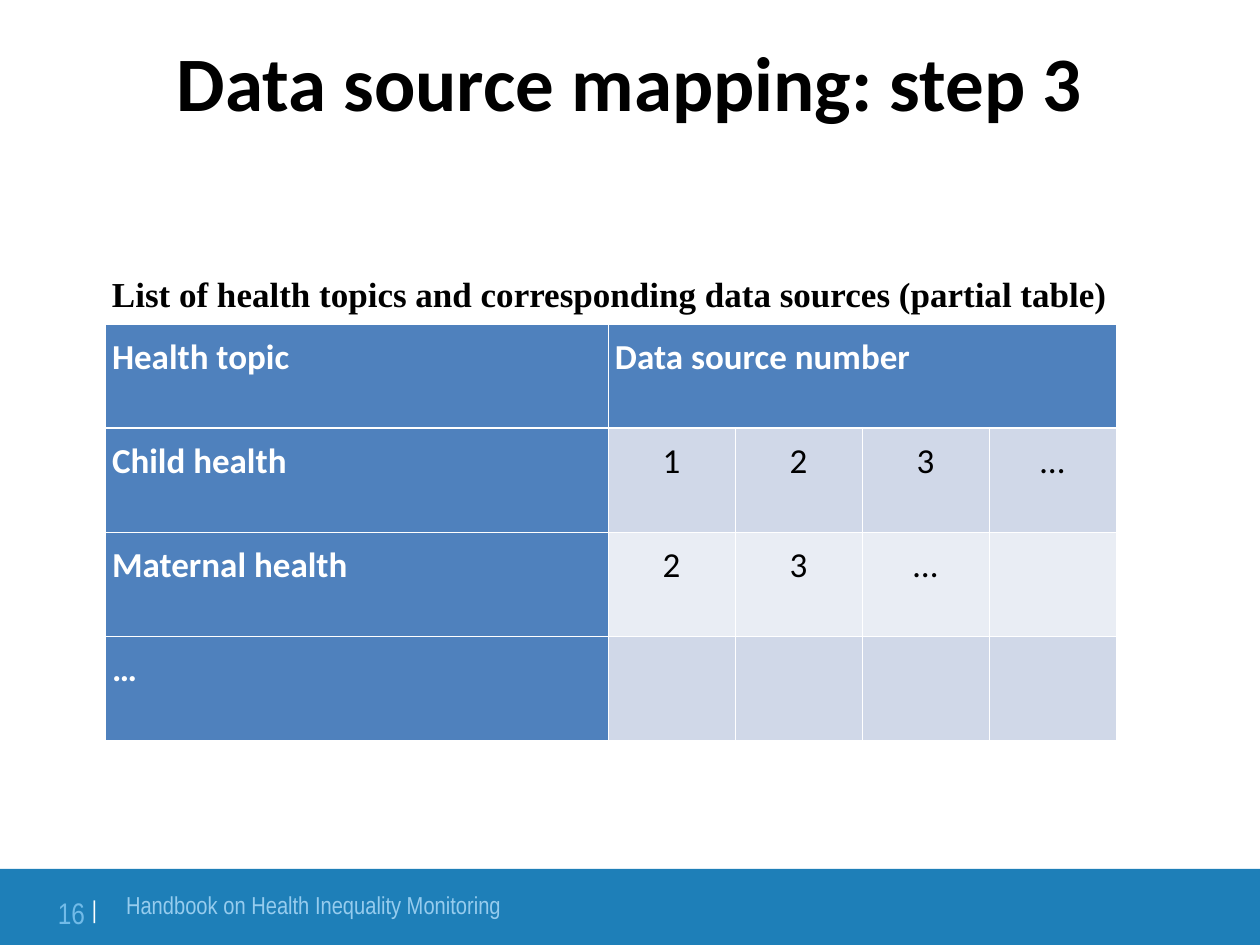
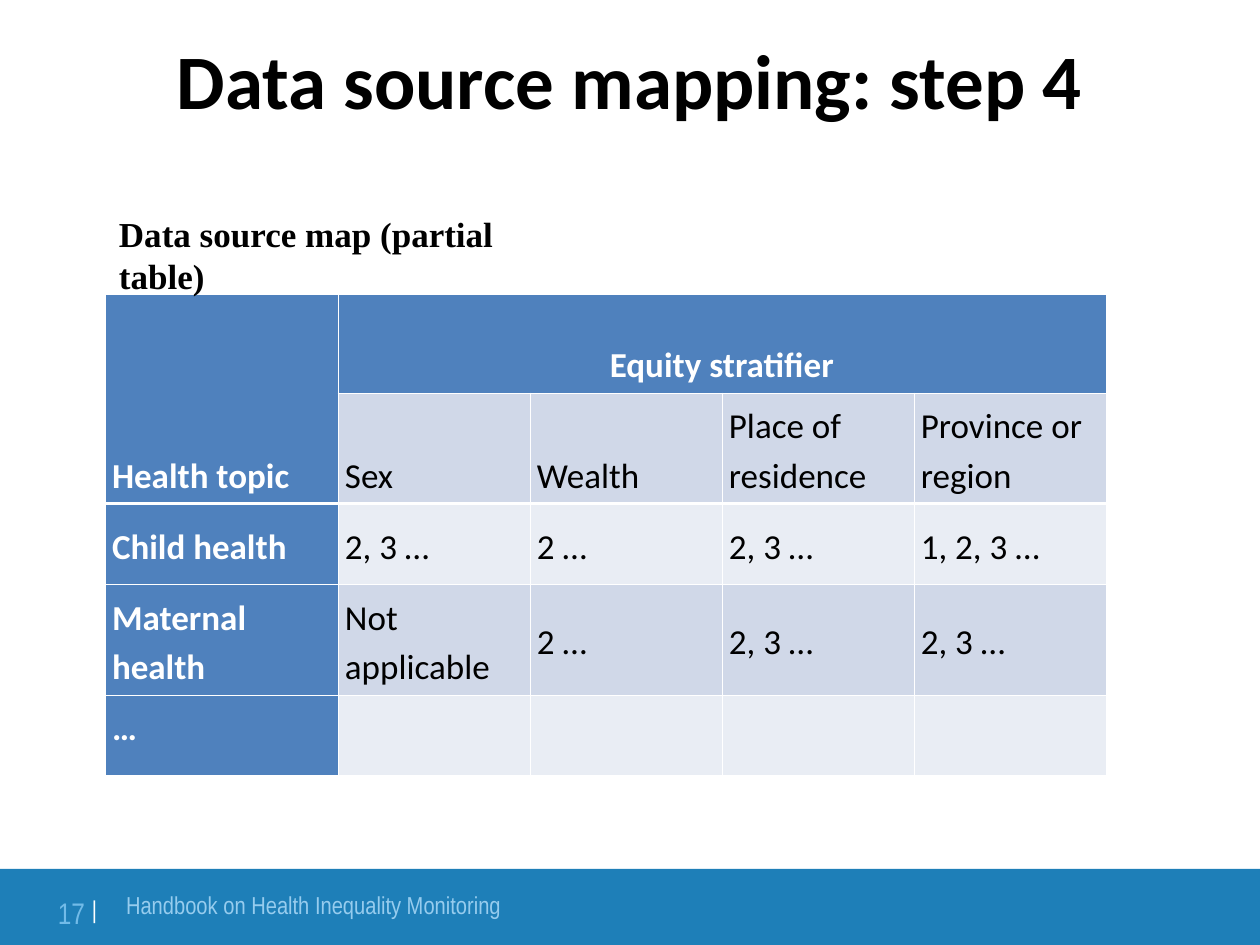
from dataclasses import dataclass

from lxml import etree
from pptx import Presentation
from pptx.dml.color import RGBColor
from pptx.enum.shapes import MSO_SHAPE
from pptx.enum.text import MSO_ANCHOR, MSO_AUTO_SIZE, PP_ALIGN
from pptx.oxml.ns import qn
from pptx.util import Inches, Pt

RECT = MSO_SHAPE.RECTANGLE
TOP, MIDDLE, BOTTOM = MSO_ANCHOR.TOP, MSO_ANCHOR.MIDDLE, MSO_ANCHOR.BOTTOM
LEFT, CENTER, RIGHT = PP_ALIGN.LEFT, PP_ALIGN.CENTER, PP_ALIGN.RIGHT
FIT_SHAPE = MSO_AUTO_SIZE.SHAPE_TO_FIT_TEXT
PX_PER_INCH = 126


@dataclass(frozen=True)
class Theme:
    # Colours
    ink: str = "000000"
    white: str = "FFFFFF"
    head: str = "4F81BD"
    band_dark: str = "D0D8E8"
    band_light: str = "E9EDF4"
    footer: str = "1E7FB8"
    footer_text: str = "96CCEE"
    page_number: str = "72BBE8"
    # Fonts
    main_font: str = "Calibri"
    caption_font: str = "Times New Roman"
    footer_font: str = "Arial Narrow"
    # Type sizes and border widths, in points
    title_size: int = 44
    text_size: int = 20
    footer_size: int = 14
    page_size: int = 17
    bar_size: int = 24
    thin: float = 0.45
    thick: float = 1.47


def px(n):
    return round(n * Inches(1) / PX_PER_INCH)


def set_font(font, name, size, color, bold=False):
    font.name, font.size, font.bold = name, Pt(size), bold
    font.color.rgb = RGBColor.from_string(color)


class Deck:
    def __init__(self, theme):
        self.t = theme
        self.prs = Presentation()
        self.prs.slide_width, self.prs.slide_height = Inches(10), Inches(7.5)
        self.s = None

    def new_slide(self, title, box):
        self.s = self.prs.slides.add_slide(self.prs.slide_layouts[5])
        sp = self.s.shapes.title
        sp.left, sp.top, sp.width, sp.height = map(px, box)
        tf = sp.text_frame
        tf.text = title
        tf.vertical_anchor = MIDDLE
        p = tf.paragraphs[0]
        p.alignment = CENTER
        set_font(p.font, self.t.main_font, self.t.title_size, self.t.ink, True)

    def text_box(self, box, margins=(0, 0), wrap=True):
        tf = self.s.shapes.add_textbox(*map(px, box)).text_frame
        tf.margin_left = tf.margin_right = px(margins[0])
        tf.margin_top = tf.margin_bottom = px(margins[1])
        tf.word_wrap = wrap
        return tf

    def caption(self, text, box):
        tf = self.text_box(box, (13, 6), wrap=False)
        tf.auto_size = FIT_SHAPE
        tf.vertical_anchor = MIDDLE
        p = tf.paragraphs[0]
        p.text = text
        set_font(p.font, self.t.caption_font, self.t.text_size, self.t.ink, True)

    def borders(self, cell, thick_top, thick_bottom):
        t = self.t
        tcPr = cell._tc.get_or_add_tcPr()
        widths = {"L": t.thin, "R": t.thin,
                  "T": t.thick if thick_top else t.thin,
                  "B": t.thick if thick_bottom else t.thin}
        for side, width in widths.items():
            ln = etree.SubElement(tcPr, qn(f"a:ln{side}"), w=str(Pt(width)))
            fill = etree.SubElement(ln, qn("a:solidFill"))
            etree.SubElement(fill, qn("a:srgbClr"), val=t.white)

    def cell(self, cell, text, is_head, fill, align, anchor):
        t = self.t
        cell.fill.solid()
        cell.fill.fore_color.rgb = RGBColor.from_string(fill)
        cell.margin_left = cell.margin_right = px(7)
        cell.margin_top = cell.margin_bottom = px(6)
        cell.vertical_anchor = anchor
        p = cell.text_frame.paragraphs[0]
        p.text = text
        p.alignment, p.line_spacing, p.space_after = align, 1.15, Pt(3)
        set_font(p.font, t.main_font, t.text_size, t.white if is_head else t.ink, is_head)

    def table(self, pos, cols, heights, rows, anchors, spans, centered, head_rows):
        """Draw a table; centered holds the (row, column) cells set in the middle."""
        t = self.t
        box = (*pos, sum(cols), sum(heights))
        tbl = self.s.shapes.add_table(len(rows), len(cols), *map(px, box)).table
        tbl.first_col = True
        for col, width in zip(tbl.columns, cols):
            col.width = px(width)
        for row, height in zip(tbl.rows, heights):
            row.height = px(height)
        for i, row in enumerate(rows):
            for j, text in enumerate(row):
                is_head = i == 0 or j == 0
                fill = t.head if is_head else (t.band_light, t.band_dark)[i % 2]
                align = CENTER if (i, j) in centered else LEFT
                cell = tbl.cell(i, j)
                self.borders(cell, i == head_rows, i == head_rows - 1)
                self.cell(cell, text, is_head, fill, align, anchors[i])
        for first, last in spans:
            tbl.cell(*first).merge(tbl.cell(*last))

    def footer(self, number):
        t = self.t
        # Band
        sp = self.s.shapes.add_shape(RECT, *map(px, (-2, 869, 1264, 78)))
        sp.shadow.inherit = False
        sp.fill.solid()
        sp.fill.fore_color.rgb = RGBColor.from_string(t.footer)
        sp.line.fill.background()
        # Book title
        p = self.text_box((126, 890, 587, 55)).paragraphs[0]
        p.text = "Handbook on Health Inequality Monitoring"
        set_font(p.font, t.footer_font, t.footer_size, t.footer_text)
        # Page number with a raised bar
        p = self.text_box((48, 882, 49, 47)).paragraphs[0]
        p.alignment = RIGHT
        r = p.add_run()
        r.text = f"{number} "
        set_font(r.font, t.footer_font, t.page_size, t.page_number)
        r = p.add_run()
        r.text = "|"
        set_font(r.font, t.footer_font, t.bar_size, t.white)
        r._r.get_or_add_rPr().set("baseline", "14000")


def main():
    deck = Deck(Theme())

    # Step 3: topics and their sources
    deck.new_slide("Data source mapping: step 3", (-2, 2, 1264, 158))
    deck.table(
        (105, 324), [503] + [127] * 4, [104] * 4,
        [["Health topic", "Data source number", "", "", ""],
         ["Child health", "1", "2", "3", "…"],
         ["Maternal health", "2", "3", "…", ""],
         ["…", "", "", "", ""]],
        anchors=[TOP] * 4, spans=[((0, 1), (0, 4))],
        centered={(i, j) for i in range(1, 4) for j in range(1, 5)}, head_rows=1)
    deck.caption("List of health topics and corresponding data sources (partial table)",
                 (99, 266, 1022, 55))
    deck.footer(16)

    # Step 4: data source map
    deck.new_slide("Data source mapping: step 4", (0, 0, 1260, 158))
    deck.table(
        (105, 294), [233] + [192] * 4, [99, 102, 81, 102, 81],
        [["Health topic", "Equity stratifier", "", "", ""],
         ["", "Sex", "Wealth", "Place of residence", "Province or region"],
         ["Child health", "2, 3 …", "2 …", "2, 3 …", "1, 2, 3 …"],
         ["Maternal health", "Not applicable", "2 …", "2, 3 …", "2, 3 …"],
         ["…", "", "", "", ""]],
        anchors=[BOTTOM, BOTTOM, MIDDLE, MIDDLE, TOP],
        spans=[((0, 0), (1, 0)), ((0, 1), (0, 4))],
        centered={(0, 1)}, head_rows=2)
    deck.caption("Data source map (partial table)", (106, 227, 494, 55))
    deck.footer(17)

    deck.prs.save("out.pptx")


if __name__ == "__main__":
    main()
